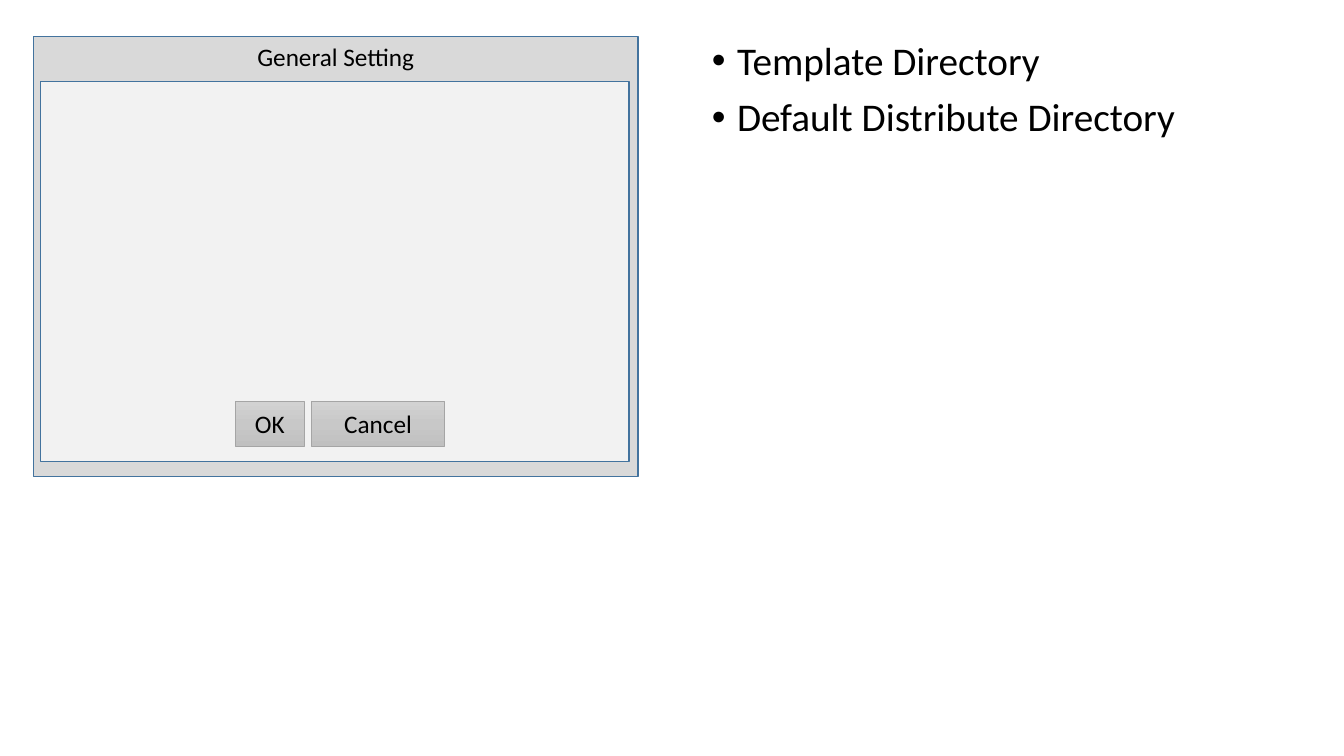
from copy import deepcopy
from dataclasses import dataclass

from pptx import Presentation
from pptx import util as u
from pptx.dml.color import RGBColor
from pptx.enum import shapes, text
from pptx.oxml.ns import qn

PX = 9144  # EMU per px, 100 px to the inch
FONT = "Calibri"
COLORS = {
    "text": "000000",
    "frame": "D9D9D9",
    "panel": "F2F2F2",
    "window_line": "43739E",
    "button_line": "A5A5A5",
    "button_top": "D2D2D2",
    "button_middle": "C8C8C8",
    "button_bottom": "C0C0C0",
}
BUTTON_FILL = ("button_top", "button_middle", "button_bottom")
BULLETS = ("Template Directory", "Default Distribute Directory")


@dataclass(frozen=True)
class Box:
    left: int
    top: int
    width: int
    height: int
    fill: tuple[str, ...]
    line: str
    line_pt: float
    label: str = ""
    anchor: text.MSO_ANCHOR = text.MSO_ANCHOR.MIDDLE


BOXES = (
    Box(33, 36, 600, 437, ("frame",), "window_line", 1, "General Setting", text.MSO_ANCHOR.TOP),
    Box(40, 81, 584, 377, ("panel",), "window_line", 1),
    Box(233, 398, 69, 45, BUTTON_FILL, "button_line", 0.5, "OK"),
    Box(309, 398, 132, 45, BUTTON_FILL, "button_line", 0.5, "Cancel"),
)


def rgb(name: str) -> RGBColor:
    return RGBColor.from_string(COLORS[name])


def add_run(p, words: str, size: int) -> None:
    r = p.add_run()
    r.text = words
    r.font.size = u.Pt(size)
    r.font.name = FONT
    r.font.color.rgb = rgb("text")


def fill_gradient(sp, names: tuple[str, ...]) -> None:
    """Fill from top to bottom with evenly spaced colour stops."""
    sp.fill.gradient()
    sp.fill.gradient_angle = 270
    stops = sp._element.spPr.find(qn("a:gradFill")).find(qn("a:gsLst"))
    while len(stops) < len(names):
        stops.append(deepcopy(stops[0]))
    for i, (stop, name) in enumerate(zip(sp.fill.gradient_stops, names)):
        stop.position = i / (len(names) - 1)
        stop.color.rgb = rgb(name)


def add_box(s, box: Box) -> None:
    sp = s.shapes.add_shape(
        shapes.MSO_SHAPE.RECTANGLE,
        *(n * PX for n in (box.left, box.top, box.width, box.height)),
    )
    sp.shadow.inherit = False
    if len(box.fill) > 1:
        fill_gradient(sp, box.fill)
    else:
        sp.fill.solid()
        sp.fill.fore_color.rgb = rgb(box.fill[0])
    sp.line.color.rgb = rgb(box.line)
    sp.line.width = u.Pt(box.line_pt)
    if box.label:
        tf = sp.text_frame
        tf.vertical_anchor = box.anchor
        p = tf.paragraphs[0]
        p.alignment = text.PP_ALIGN.CENTER
        add_run(p, box.label, 18)


def fill_body(sp) -> None:
    sp.left, sp.top, sp.width, sp.height = (n * PX for n in (696, 36, 581, 682))
    tf = sp.text_frame
    tf.auto_size = text.MSO_AUTO_SIZE.NONE
    for i, words in enumerate(BULLETS):
        p = tf.add_paragraph() if i else tf.paragraphs[0]
        p.line_spacing = 0.9
        p.space_before = u.Pt(10)
        pPr = p._p.get_or_add_pPr()
        pPr.set("marL", str(25 * PX))
        pPr.set("indent", str(-25 * PX))
        add_run(p, words, 28)


def main() -> None:
    prs = Presentation()
    prs.slide_width, prs.slide_height = 1333 * PX, 750 * PX
    s = prs.slides.add_slide(prs.slide_layouts[1])
    title = s.shapes.title._element
    title.getparent().remove(title)
    for box in BOXES:
        add_box(s, box)
    fill_body(s.placeholders[1])
    prs.save("out.pptx")


if __name__ == "__main__":
    main()
